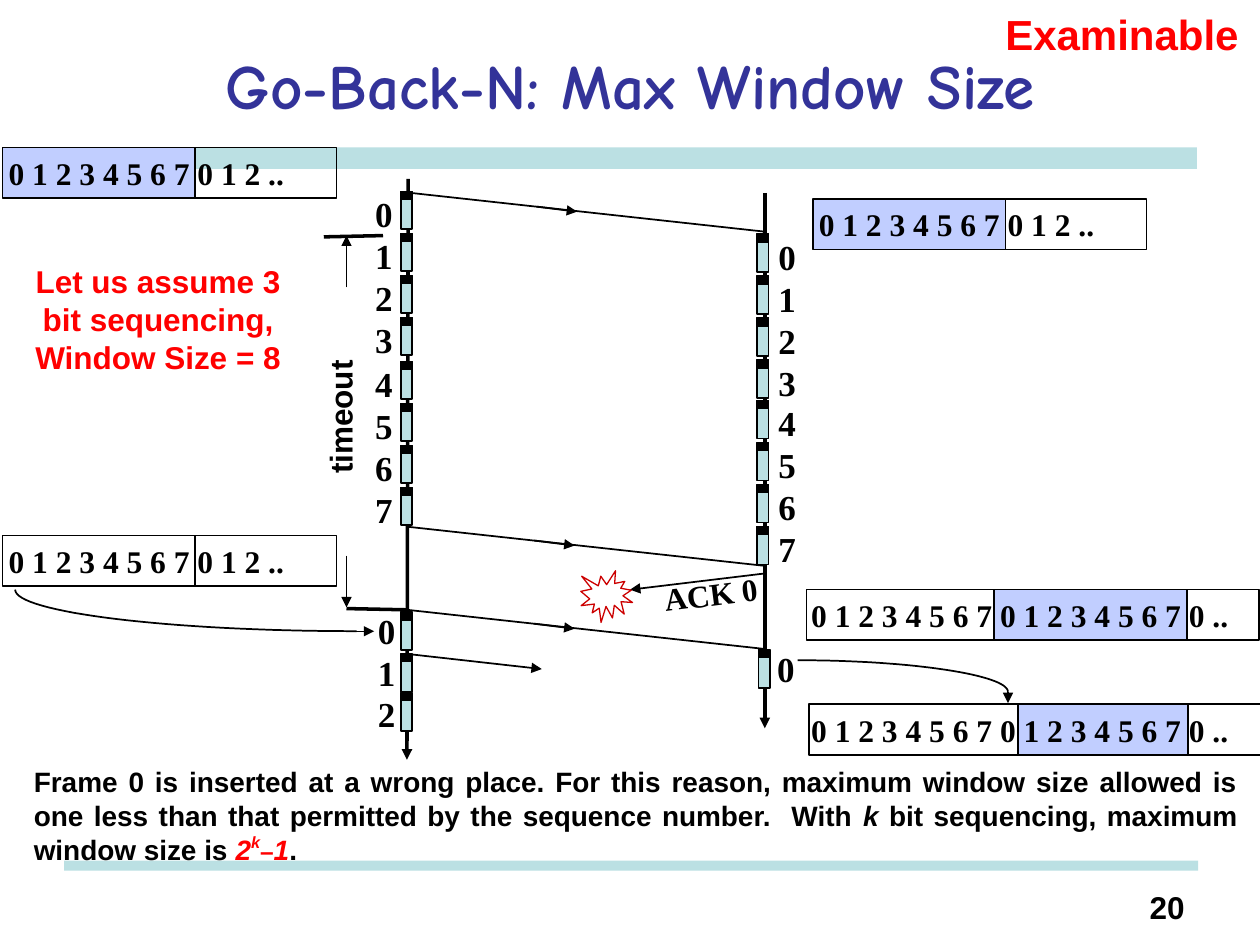
from dataclasses import dataclass

from lxml.etree import SubElement
from pptx import Presentation
from pptx.dml.color import RGBColor
from pptx.enum.shapes import MSO_CONNECTOR, MSO_SHAPE
from pptx.enum.text import MSO_ANCHOR, MSO_AUTO_SIZE, PP_ALIGN
from pptx.oxml.ns import qn
from pptx.util import Inches, Pt


@dataclass(frozen=True)
class Theme:
    """Hold the colours, fonts and type sizes of the slide."""
    ink: str = "000000"
    paper: str = "FFFFFF"
    title: str = "333399"
    band: str = "BBE0E3"
    window: str = "C1CEFF"
    alert: str = "FF0000"
    loss: str = "CC0000"
    title_font: str = "Comic Neue"
    sans: str = "Arial"
    serif: str = "Times New Roman"
    title_size: int = 36
    tag_size: int = 24
    digit_size: int = 20
    label_size: int = 18
    body_size: int = 16
    minus_size: int = 14


THEME = Theme()


def add_run(paragraph, text, size, color=THEME.ink, font=THEME.sans, italic=False, baseline=0):
    """Append one bold run to a paragraph."""
    run = paragraph.add_run()
    run.text = text
    run.font.size = Pt(size)
    run.font.name = font
    run.font.bold = True
    run.font.italic = italic
    run.font.color.rgb = RGBColor.from_string(color)
    if baseline:
        run.font._element.set("baseline", str(baseline * 1000))


def add_text(slide, box, runs, align=PP_ALIGN.LEFT, rotation=0, wrap=True):
    """Add a text box whose runs are tuples of add_run arguments."""
    shape = slide.shapes.add_textbox(*map(Inches, box))
    shape.rotation = rotation
    frame = shape.text_frame
    frame.word_wrap = wrap
    frame.auto_size = MSO_AUTO_SIZE.SHAPE_TO_FIT_TEXT
    paragraph = frame.paragraphs[0]
    paragraph.alignment = align
    for run in runs:
        add_run(paragraph, *run)


def style_shape(shape, fill=None, line=None, width=1):
    """Set the fill and outline of a shape, and drop its shadow."""
    shape.shadow.inherit = False
    if fill:
        shape.fill.solid()
        shape.fill.fore_color.rgb = RGBColor.from_string(fill)
    else:
        shape.fill.background()
    if line:
        shape.line.color.rgb = RGBColor.from_string(line)
        shape.line.width = Pt(width)
    else:
        shape.line.fill.background()


def add_box(slide, box, fill=None, line=THEME.ink, width=1, kind=MSO_SHAPE.RECTANGLE):
    """Add a preset shape."""
    style_shape(slide.shapes.add_shape(kind, *map(Inches, box)), fill, line, width)


def add_line(slide, start, end, width=1, arrow=False):
    """Add a straight line, with an arrowhead at its end if asked."""
    connector = slide.shapes.add_connector(
        MSO_CONNECTOR.STRAIGHT, *map(Inches, (*start, *end)))
    connector.line.color.rgb = RGBColor.from_string(THEME.ink)
    connector.line.width = Pt(width)
    properties = connector._element.spPr
    if arrow:
        SubElement(properties.find(qn("a:ln")), qn("a:tailEnd"), type="triangle")
    SubElement(properties, qn("a:effectLst"))


def add_curve(slide, controls, steps=32):
    """Draw a cubic curve through its four control points."""
    points = []
    for step in range(steps + 1):
        t = step / steps
        weights = ((1 - t) ** 3, 3 * t * (1 - t) ** 2, 3 * t * t * (1 - t), t ** 3)
        points.append(tuple(
            Inches(sum(w * c for w, c in zip(weights, axis))) for axis in zip(*controls)))
    builder = slide.shapes.build_freeform(*points[0])
    builder.add_line_segments(points[1:], close=False)
    style_shape(builder.convert_to_shape(), line=THEME.ink)


def add_frame(slide, left, top, digit, digit_left, digit_top):
    """Add one frame on a timeline, with its sequence number."""
    add_box(slide, (left, top, 0.09, 0.3), THEME.band)
    add_box(slide, (left, top, 0.09, 0.06), THEME.ink)
    add_text(slide, (digit_left, digit_top, 0.26, 0.43),
             [(str(digit), THEME.digit_size, THEME.ink, THEME.serif)])


def add_frames(slide, left, digit_left, starts):
    """Add eight frames in two runs of four."""
    for digit in range(8):
        top = starts[digit // 4] + digit % 4 / 3
        add_frame(slide, left, top, digit, digit_left, top - 0.04)


def add_window(slide, text_left, top, text_width, text, cells):
    """Add a sequence strip from cells of left, width and fill."""
    for left, width, fill in cells:
        add_box(slide, (left, top, width, 0.4), fill)
    add_text(slide, (text_left, top, text_width, 0.4),
             [(text, THEME.label_size, THEME.ink, THEME.serif)])


def add_message(slide, left, top):
    """Add a slanted frame transmission with an arrowhead on its way."""
    add_line(slide, (left, top), (left + 2.83, top + 0.31))
    add_line(slide, (left + 1.01, top + 0.11), (left + 1.33, top + 0.15), arrow=True)


def add_heading(slide):
    """Fill the title and draw the two bands."""
    title = slide.shapes.title
    title.left, title.top, title.width, title.height = map(Inches, (0.5, 0.17, 9, 1))
    title.text_frame.vertical_anchor = MSO_ANCHOR.MIDDLE
    paragraph = title.text_frame.paragraphs[0]
    paragraph.alignment = PP_ALIGN.CENTER
    add_run(paragraph, "Go-Back-N: Max Window Size", THEME.title_size, THEME.title, THEME.title_font)
    add_box(slide, (0.5, 1.17, 9, 0.17), THEME.band, None)
    add_box(slide, (0.51, 6.83, 9, 0.08), THEME.band, None)


def add_timelines(slide):
    """Draw both timelines, their frames and the messages between them."""
    add_line(slide, (3.24, 1.42), (3.23, 6.03), 2, True)
    add_line(slide, (6.07, 1.53), (6.07, 5.78), 2, True)
    for left, top in ((3.25, 1.53), (3.23, 4.18), (3.23, 4.84)):
        add_message(slide, left, top)
    add_line(slide, (3.23, 5.19), (4.3, 5.31), arrow=True)
    add_line(slide, (6.08, 4.55), (5, 4.68), arrow=True)
    add_frames(slide, 3.18, 2.88, (1.52, 2.87))
    add_frames(slide, 6.01, 6.08, (1.86, 3.18))
    for digit, top in enumerate((4.86, 5.19, 5.5)):
        add_frame(slide, 3.18, top, digit, 2.9, 4.79 + digit * 0.33)
    add_frame(slide, 6.02, 5.16, 0, 6.07, 5.09)
    add_text(slide, (5.17, 4.5, 1.12, 0.4),
             [("ACK 0", THEME.label_size, THEME.ink, THEME.serif)], rotation=352.7)
    add_box(slide, (4.61, 4.53, 0.41, 0.41), THEME.paper, THEME.loss, 0.75, MSO_SHAPE.EXPLOSION1)


def add_timeout(slide):
    """Mark the timeout interval beside the sender."""
    add_line(slide, (2.57, 1.88), (3.04, 1.87), 2)
    add_line(slide, (2.75, 4.83), (3.23, 4.84), 2)
    add_line(slide, (2.75, 2.28), (2.75, 1.87), arrow=True)
    add_line(slide, (2.75, 4.41), (2.75, 4.82), arrow=True)
    add_text(slide, (2.15, 3.11, 1.1, 0.4), [("timeout", THEME.label_size)], rotation=270, wrap=False)


def add_windows(slide):
    """Draw the sender and receiver windows and the curves to them."""
    short = "0 1 2 3 4 5 6 7 0 1 2 .."
    long = "0 1 2 3 4 5 6 7 0 1 2 3 4 5 6 7 0 .."
    for left, top, fill in ((0.02, 1.17, THEME.window), (6.45, 1.58, THEME.window), (0.02, 4.25, None)):
        add_window(slide, left - 0.05, top, 2.58, short,
                   [(left, 1.53, fill), (left + 1.53, 1.12, None)])
    for left, top, lit_left, lit_width in ((6.4, 4.68, 7.89, 1.53), (6.42, 5.59, 8.08, 1.35)):
        add_window(slide, 6.34, top, 3.66, long,
                   [(lit_left, lit_width, THEME.window), (left, 3.59, None)])
    add_curve(slide, ((6.33, 5.24), (7.25, 5.24), (8, 5.36), (8, 5.49)))
    add_line(slide, (8, 5.49), (8, 5.58), 0.75, True)
    add_curve(slide, ((2.83, 5.01), (1.34, 5.01), (0.12, 4.86), (0.12, 4.68)))
    add_line(slide, (2.8, 5.01), (2.97, 5.01), 0.75, True)


def add_notes_text(slide):
    """Add the assumption, the conclusion, the tag and the page number."""
    size, ink, red, sans = THEME.body_size, THEME.ink, THEME.alert, THEME.sans
    add_text(slide, (0.17, 2.03, 2.17, 1),
             [("Let us assume 3 bit sequencing, Window Size = 8", THEME.label_size, red)], PP_ALIGN.CENTER)
    add_text(slide, (0.17, 6.02, 9.75, 0.94), [
        ("Frame 0 is inserted at a wrong place. For this reason, maximum window size allowed is one less "
         "than that permitted by the sequence number.  With ", size),
        ("k", size, ink, sans, True),
        (" bit sequencing, maximum window size is ", size),
        ("2", size, red, sans, True),
        ("k", size, red, sans, True, 46),
        ("–", THEME.minus_size, red),
        ("1", size, red, sans, True),
        (".", size)], PP_ALIGN.JUSTIFY)
    add_text(slide, (7.88, 0.02, 2.92, 0.5), [("Examinable", THEME.tag_size, red)])
    add_text(slide, (8.83, 7, 0.67, 0.42), [("20", THEME.label_size)], PP_ALIGN.RIGHT)


def main():
    """Build the slide and save it."""
    presentation = Presentation()
    presentation.slide_width, presentation.slide_height = Inches(10), Inches(7.5)
    slide = presentation.slides.add_slide(presentation.slide_layouts[5])
    for add_part in (add_heading, add_timelines, add_timeout, add_windows, add_notes_text):
        add_part(slide)
    presentation.save("out.pptx")


if __name__ == "__main__":
    main()
